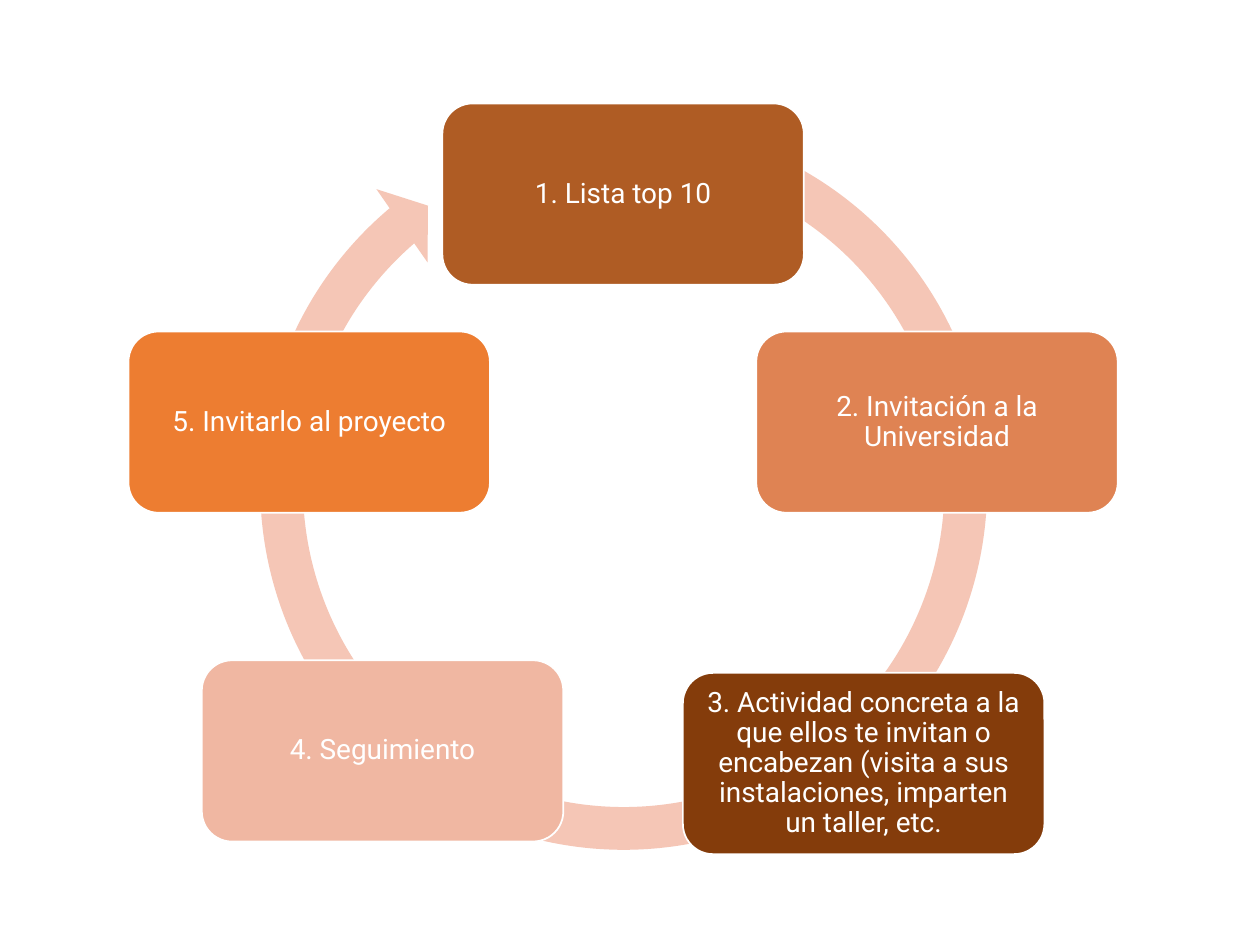
from math import cos, radians, sin

from pptx import Presentation
from pptx.dml.color import RGBColor
from pptx.enum import shapes, text
from pptx.util import Pt

WHITE = RGBColor(0xFF, 0xFF, 0xFF)
PEACH = RGBColor(0xF5, 0xC6, 0xB6)
SIENNA = RGBColor(0xAF, 0x5C, 0x24)
CORAL = RGBColor(0xDF, 0x83, 0x53)
BROWN = RGBColor(0x84, 0x3C, 0x0B)
SALMON = RGBColor(0xF0, 0xB7, 0xA2)
ORANGE = RGBColor(0xED, 0x7D, 0x31)

CENTRE_X, CENTRE_Y, RADIUS = 356.1, 299.5, 188.6

# label, fill, offset from the regular place on the cycle
STEPS = [
    ("1. Lista top 10", SIENNA, (0, 0)),
    ("2. Invitación a la Universidad", CORAL, (0, 0)),
    ("3. Actividad concreta a la que ellos te invitan o encabezan "
     "(visita a sus instalaciones, imparten un taller, etc.", BROWN, (26.6, -15.8)),
    ("4. Seguimiento", SALMON, (-26.6, -23)),
    ("5. Invitarlo al proyecto", ORANGE, (0, 0)),
]


class CycleSlide:
    font = "Roboto"
    font_size = 16
    box_w, box_h = 206.6, 103.6
    inset = 5

    def __init__(self, slide):
        self.slide = slide

    def shape(self, kind, cx, cy, w, h, fill):
        """Add a plain filled shape centred on (cx, cy)."""
        sp = self.slide.shapes.add_shape(
            kind, Pt(cx - w / 2), Pt(cy - h / 2), Pt(w), Pt(h))
        sp.shadow.inherit = False
        sp.fill.solid()
        sp.fill.fore_color.rgb = fill
        sp.line.fill.background()
        return sp

    def ring_arrow(self, cx, cy, size, band, head, head_angle, end, start):
        """Add a circular arrow; band and head in points, angles in degrees."""
        sp = self.shape(shapes.MSO_SHAPE.CIRCULAR_ARROW, cx, cy, size, size, PEACH)
        values = [band / size, head_angle * 0.6, end * 0.6, start * 0.6, head / size]
        for i, value in enumerate(values):
            sp.adjustments[i] = value

    def step(self, label, cx, cy, fill):
        sp = self.shape(shapes.MSO_SHAPE.ROUNDED_RECTANGLE, cx, cy,
                        self.box_w, self.box_h, fill)
        sp.line.color.rgb = WHITE
        sp.line.width = Pt(1)
        tf = sp.text_frame
        tf.word_wrap = True
        tf.vertical_anchor = text.MSO_ANCHOR.MIDDLE
        tf.margin_left = tf.margin_right = Pt(self.inset)
        tf.margin_top = tf.margin_bottom = Pt(self.inset)
        p = tf.paragraphs[0]
        p.alignment = text.PP_ALIGN.CENTER
        p.line_spacing = 0.9
        r = p.add_run()
        r.text = label
        r.font.name = self.font
        r.font.size = Pt(self.font_size)
        r.font.color.rgb = WHITE


def main():
    prs = Presentation()
    prs.slide_width, prs.slide_height = Pt(720), Pt(540)
    s = CycleSlide(prs.slides.add_slide(prs.slide_layouts[6]))
    s.ring_arrow(356.4, 277.9, 442, band=24.4, head=25.5,
                 head_angle=5.51, end=229.6, start=289.77)
    for i, (label, fill, (dx, dy)) in enumerate(STEPS):
        angle = radians(i * 360 / len(STEPS))
        s.step(label, CENTRE_X + RADIUS * sin(angle) + dx,
               CENTRE_Y - RADIUS * cos(angle) + dy, fill)
    prs.save("out.pptx")


if __name__ == "__main__":
    main()
